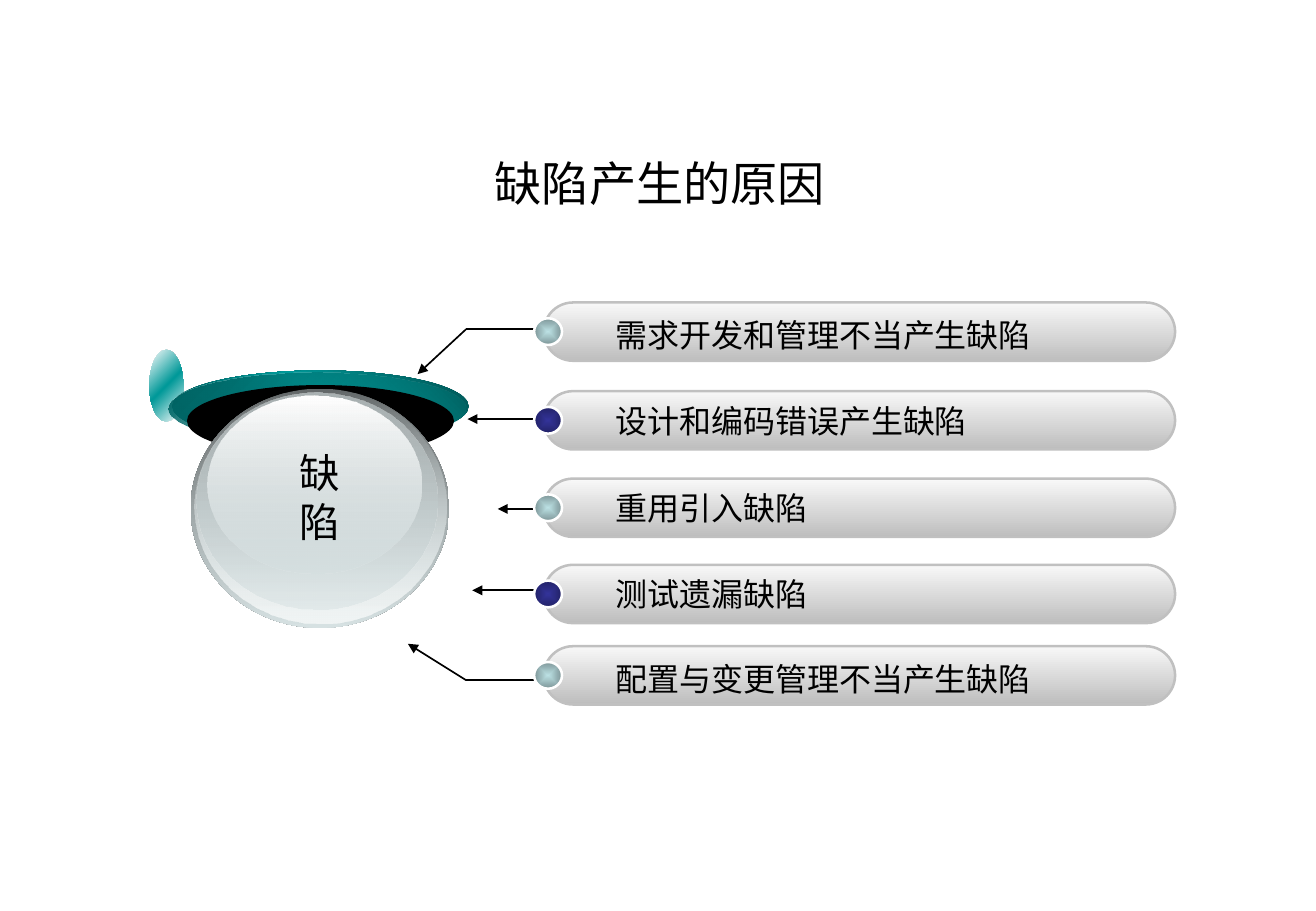
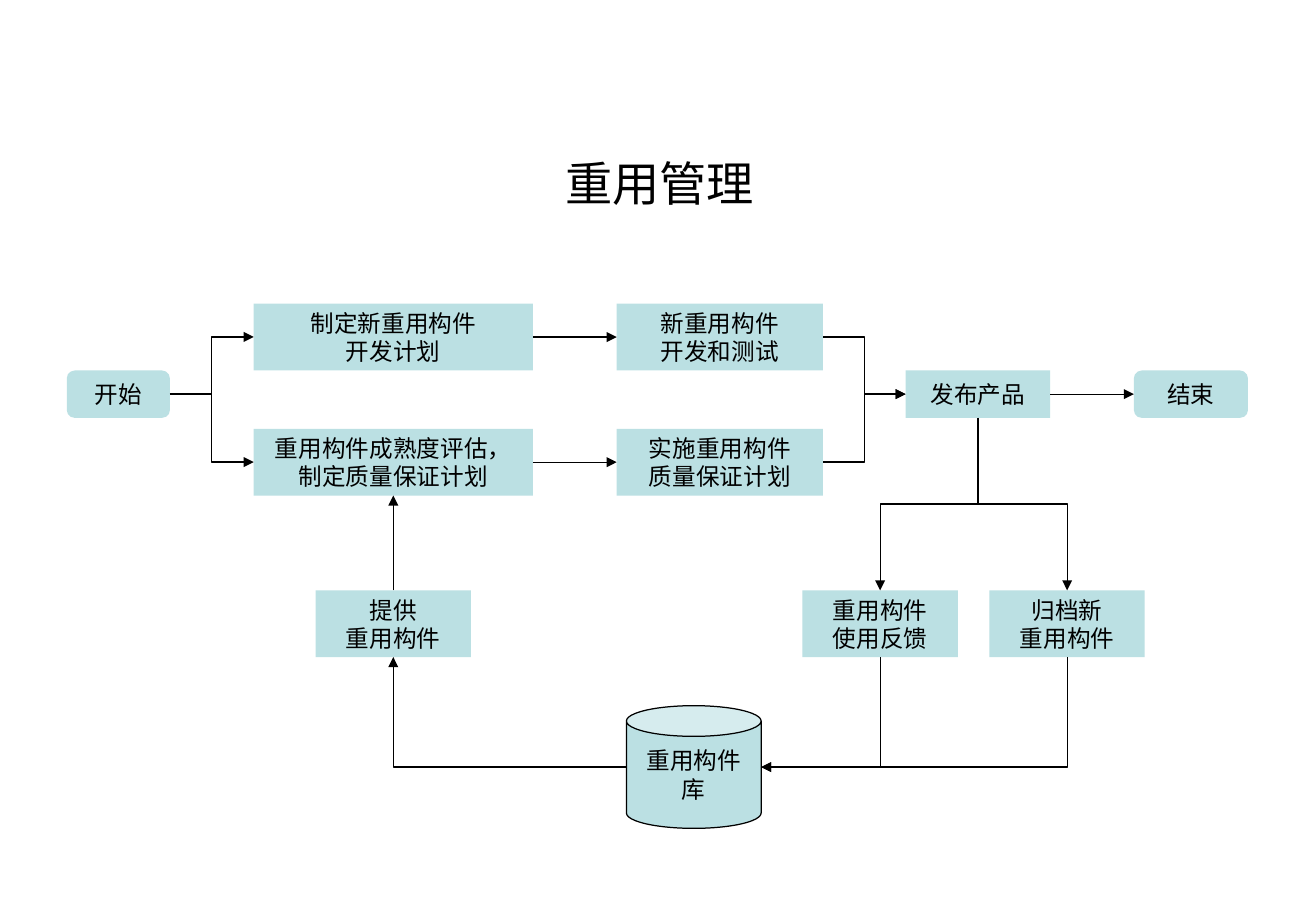
import pptx
import pptx.dml.color
import pptx.enum.shapes
import pptx.enum.text
import pptx.oxml.ns
import pptx.util
from lxml import etree

Inches = pptx.util.Inches
Pt = pptx.util.Pt
qn = pptx.oxml.ns.qn
SHAPE = pptx.enum.shapes.MSO_SHAPE
CONNECTOR = pptx.enum.shapes.MSO_CONNECTOR
ALIGN = pptx.enum.text.PP_ALIGN
ANCHOR = pptx.enum.text.MSO_ANCHOR

COLORS = {
    "ink": "000000", "white": "FFFFFF", "aqua": "BBE0E3", "aqua dark": "7D9597",
    "navy": "333399", "navy dark": "222266", "teal": "009999",
    "teal dark": "005353", "teal mid": "006161",
    "bar light": "F8F8F8", "bar dark": "BEBEBE", "bar edge": "C0C0C0",
    "slate": "636869", "mist": "D6E1E2", "frost": "F1F5F5", "ash": "AAB2B3",
}
LATIN, CHINESE = "Arial", "Noto Sans CJK SC"
TITLE_BOX = (0.56, 1.23, 9.75, 0.55)
TOP, LEFT, BOTTOM, RIGHT = range(4)

CAUSES = [
    ("需求开发和管理不当产生缺陷", 2.49, 2.55, "aqua"),
    ("设计和编码错误产生缺陷", 3.22, 3.26, "navy"),
    ("重用引入缺陷", 3.94, 3.97, "aqua"),
    ("测试遗漏缺陷", 4.65, 4.68, "navy"),
    ("配置与变更管理不当产生缺陷", 5.32, 5.38, "aqua"),
]
CAUSE_LINES = [
    ((4.63, 3.45), (3.85, 3.45), True),
    ((4.49, 4.86), (3.89, 4.86), True),
    ((4.49, 2.71), (3.84, 2.71), False),
    ((3.84, 2.71), (3.44, 3.08), True),
    ((4.49, 5.6), (3.84, 5.6), False),
    ((3.84, 5.6), (3.36, 5.3), True),
    ((4.69, 4.19), (4.1, 4.19), True),
]
BALL_LAYERS = [
    ((1.23, 2.88, 0.28, 0.59), 45, [(0, "white"), (50, "teal"), (100, "white")]),
    ((1.42, 3.05, 2.44, 0.59), 315, [(0, "teal dark"), (50, "teal"), (100, "teal dark")]),
    ((1.39, 3.07, 2.44, 0.59), 45, [(0, "teal mid"), (100, "teal", 0)]),
    ((1.54, 3.17, 2.2, 0.59), 0, [(0, "ink"), (100, "ink")]),
    ((1.57, 3.2, 2.13, 1.97), 90, [(0, "slate"), (100, "mist")]),
    ((1.6, 3.21, 2.08, 1.92), 90, [(0, "mist", 0), (100, "frost")]),
    ((1.62, 3.23, 1.98, 1.79), 90, [(0, "ash"), (100, "mist", 48)]),
    ((1.71, 3.26, 1.76, 1.46), 90, [(0, "white"), (100, "mist", 38)]),
]
STEPS = {
    "start": (SHAPE.ROUNDED_RECTANGLE, (0.55, 3.05, 0.85, 0.39), ["开始"]),
    "assess": (SHAPE.RECTANGLE, (2.09, 3.53, 2.3, 0.55), ["重用构件成熟度评估，", "制定质量保证计划"]),
    "assure": (SHAPE.RECTANGLE, (5.08, 3.53, 1.7, 0.55), ["实施重用构件", "质量保证计划"]),
    "release": (SHAPE.RECTANGLE, (7.46, 3.05, 1.19, 0.39), ["发布产品"]),
    "end": (SHAPE.ROUNDED_RECTANGLE, (9.34, 3.05, 0.94, 0.39), ["结束"]),
    "library": (SHAPE.CAN, (5.16, 5.81, 1.11, 1.01), ["重用构件", "库"]),
    "supply": (SHAPE.RECTANGLE, (2.6, 4.86, 1.28, 0.55), ["提供", "重用构件"]),
    "feedback": (SHAPE.RECTANGLE, (6.61, 4.86, 1.28, 0.55), ["重用构件", "使用反馈"]),
    "archive": (SHAPE.RECTANGLE, (8.15, 4.86, 1.28, 0.55), ["归档新", "重用构件"]),
    "plan": (SHAPE.RECTANGLE, (2.09, 2.5, 2.3, 0.55), ["制定新重用构件", "开发计划"]),
    "develop": (SHAPE.RECTANGLE, (5.08, 2.5, 1.7, 0.55), ["新重用构件", "开发和测试"]),
}
STRAIGHT_FLOWS = [
    ("plan", RIGHT, "develop", LEFT),
    ("assess", RIGHT, "assure", LEFT),
    ("release", RIGHT, "end", LEFT),
    ("supply", TOP, "assess", BOTTOM),
]
ELBOW_FLOWS = [
    ("start", RIGHT, "plan", LEFT),
    ("start", RIGHT, "assess", LEFT),
    ("develop", RIGHT, "release", LEFT),
    ("assure", RIGHT, "release", LEFT),
    ("library", LEFT, "supply", BOTTOM),
    ("release", BOTTOM, "feedback", TOP),
    ("release", BOTTOM, "archive", TOP),
    ("feedback", BOTTOM, "library", RIGHT),
    ("archive", BOTTOM, "library", RIGHT),
]


def rgb(name):
    return pptx.dml.color.RGBColor.from_string(COLORS[name])


def inches(values):
    return [Inches(value) for value in values]


def write(shape, lines, size, latin=LATIN, align=ALIGN.CENTER,
          anchor=ANCHOR.MIDDLE, wrap=True):
    frame = shape.text_frame
    frame.word_wrap = wrap
    frame.vertical_anchor = anchor
    frame.text = "\n".join(lines)
    for para in frame.paragraphs:
        para.alignment = align
        para.font.size = Pt(size)
        para.font.color.rgb = rgb("ink")
        para.font.name = latin
        etree.SubElement(para.font._element, qn("a:ea"), typeface=CHINESE)


def add_text(page, place, lines, size, **style):
    box = page.shapes.add_textbox(*inches(place))
    write(box, lines, size, **style)
    return box


def add_page(deck, title):
    page = deck.slides.add_slide(deck.slide_layouts[6])
    add_text(page, TITLE_BOX, [title], 28)
    return page


def add_shape(page, kind, place, edge=None, width=1.5):
    shape = page.shapes.add_shape(kind, *inches(place))
    shape.shadow.inherit = False
    if edge:
        shape.line.color.rgb = rgb(edge)
        shape.line.width = Pt(width)
    else:
        shape.line.fill.background()
    return shape


def fill_gradient(shape, stops, angle=None):
    shape.fill.background()
    properties = shape._element.spPr
    gradient = etree.Element(qn("a:gradFill"), rotWithShape="1")
    stop_list = etree.SubElement(gradient, qn("a:gsLst"))
    for position, name, *alpha in stops:
        stop = etree.SubElement(stop_list, qn("a:gs"), pos=str(position * 1000))
        color = etree.SubElement(stop, qn("a:srgbClr"), val=COLORS[name])
        for value in alpha:
            etree.SubElement(color, qn("a:alpha"), val=str(value * 1000))
    if angle is None:
        center = etree.SubElement(gradient, qn("a:path"), {"path": "rect"})
        etree.SubElement(center, qn("a:fillToRect"), {side: "50000" for side in "ltrb"})
    else:
        etree.SubElement(gradient, qn("a:lin"), ang=str(angle * 60000), scaled="1")
    properties.replace(properties.find(qn("a:noFill")), gradient)


def add_line(page, start, end, width, arrow=True, kind=CONNECTOR.STRAIGHT):
    line = page.shapes.add_connector(kind, *inches(start + end))
    line.line.color.rgb = rgb("ink")
    line.line.width = Pt(width)
    if arrow:
        etree.SubElement(line.line._get_or_add_ln(), qn("a:tailEnd"), type="triangle")
    etree.SubElement(line._element.spPr, qn("a:effectLst"))
    return line


def side_point(step, side):
    left, top, width, height = STEPS[step][1]
    across, down = {TOP: (0.5, 0), LEFT: (0, 0.5), BOTTOM: (0.5, 1), RIGHT: (1, 0.5)}[side]
    return left + across * width, top + down * height


def add_elbow(page, source, source_side, target, target_side):
    start, end = side_point(source, source_side), side_point(target, target_side)
    run, drop = end[0] - start[0], end[1] - start[1]
    width, height = abs(run), abs(drop)
    flip = None
    if source_side == BOTTOM:
        width, height = height, width
        rotation = 90 if run < 0 else 270
        flip = "flipH" if run > 0 else None
    else:
        rotation = 0 if run > 0 else 180
        flip = "flipV" if (drop < 0) == (run > 0) else None
    left = (start[0] + end[0] - width) / 2
    top = (start[1] + end[1] - height) / 2
    line = add_line(page, (left, top), (left + width, top + height), 0.75,
                    kind=CONNECTOR.ELBOW)
    properties = line._element.spPr
    frame = properties.find(qn("a:xfrm"))
    frame.set("rot", str(rotation * 60000))
    if flip:
        frame.set(flip, "1")
    if (source_side + target_side) % 2:
        properties.find(qn("a:prstGeom")).set("prst", "bentConnector2")


def build_causes(deck):
    page = add_page(deck, "缺陷产生的原因")
    for start, end, arrow in CAUSE_LINES:
        add_line(page, start, end, 1, arrow)
    for text, bar_top, text_top, tone in CAUSES:
        bar = add_shape(page, SHAPE.ROUNDED_RECTANGLE, (4.48, bar_top, 5.2, 0.48), "bar edge")
        bar.adjustments[0] = 0.5
        fill_gradient(bar, [(0, "bar light"), (100, "bar dark")], 90)
        dot = add_shape(page, SHAPE.OVAL, (4.4, bar_top + 0.13, 0.23, 0.22), "white")
        fill_gradient(dot, [(0, tone), (100, tone + " dark")])
        label = add_text(page, (4.73, text_top, 4.8, 0.42), [text], 19, latin=CHINESE,
                         align=ALIGN.LEFT, anchor=ANCHOR.TOP)
        label.text_frame.margin_left = Inches(0.34)
    for place, angle, stops in BALL_LAYERS:
        fill_gradient(add_shape(page, SHAPE.OVAL, place), stops, angle)
    add_text(page, (1.55, 3.64, 2.16, 0.9), ["缺", "陷"], 24)


def build_reuse(deck):
    page = add_page(deck, "重用管理")
    boxes = {}
    for step, (kind, place, lines) in STEPS.items():
        edge = "ink" if kind == SHAPE.CAN else None
        box = add_shape(page, kind, place, edge, 0.75)
        box.fill.solid()
        box.fill.fore_color.rgb = rgb("aqua")
        write(box, lines, 14, wrap=False)
        boxes[step] = box
    for source, source_side, target, target_side in STRAIGHT_FLOWS:
        line = add_line(page, side_point(source, source_side),
                        side_point(target, target_side), 0.75)
        line.begin_connect(boxes[source], source_side)
        line.end_connect(boxes[target], target_side)
    for flow in ELBOW_FLOWS:
        add_elbow(page, *flow)


def main():
    deck = pptx.Presentation()
    deck.slide_width, deck.slide_height = Inches(10.84), Inches(7.5)
    build_causes(deck)
    build_reuse(deck)
    deck.save("out.pptx")


if __name__ == "__main__":
    main()
